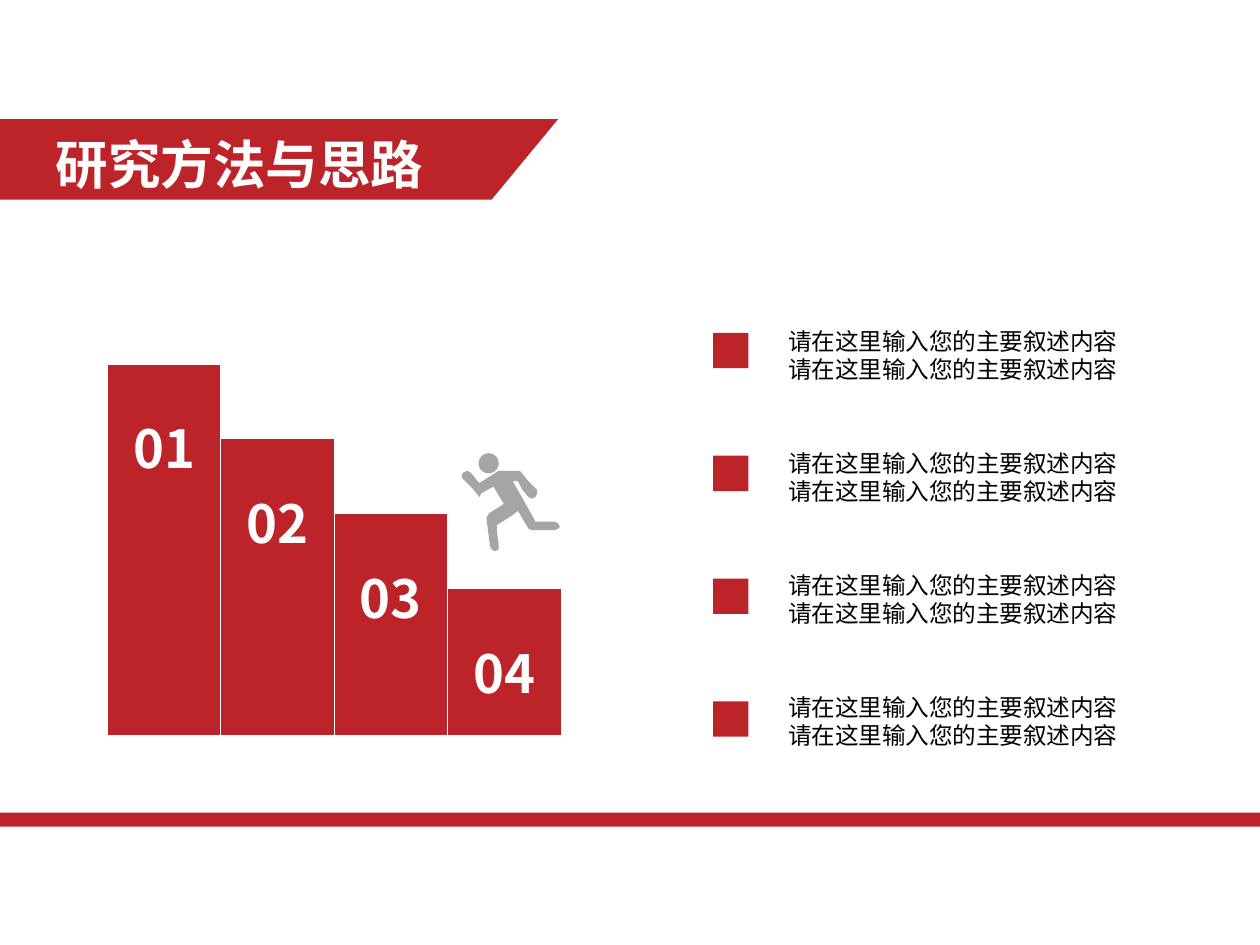
from pptx import Presentation
from pptx.dml.color import RGBColor
from pptx.enum.shapes import MSO_SHAPE as Kind
from pptx.enum.text import MSO_ANCHOR as Anchor, PP_ALIGN as Align
from pptx.util import Pt

RED, GREY, WHITE, BLACK = "BC242A", "A5A5A5", "FFFFFF", "000000"
SANS, HEAD = "Noto Sans CJK SC", "Noto Sans CJK JP"
LINE = "请在这里输入您的主要叙述内容"

# Runner outline in hundredths of the figure's width and height
BODY = [
    (5, 0), (2, 2), (0, 5), (0, 8), (2, 11), (10, 21), (17, 32), (20, 29),
    (32, 19), (43, 41), (28, 52), (26, 55), (25, 60), (27, 76), (29, 95),
    (31, 98), (34, 100), (37, 98), (38, 95), (38, 92), (36, 76), (35, 67),
    (49, 56), (57, 51), (68, 73), (71, 75), (94, 75), (98, 73), (100, 69),
    (98, 65), (94, 63), (75, 63), (65, 44), (51, 13), (57, 13), (61, 21),
    (68, 32), (71, 34), (75, 33), (77, 29), (76, 25), (68, 14), (61, 3),
    (59, 1), (37, 1), (18, 16), (16, 14), (9, 3),
]


def color(code):
    return RGBColor.from_string(code)


def paint(shape, fill, edge=None):
    shape.shadow.inherit = False
    shape.fill.solid()
    shape.fill.fore_color.rgb = color(fill)
    if edge:
        shape.line.color.rgb = color(edge)
        shape.line.width = Pt(0.75)
    else:
        shape.line.fill.background()
    return shape


def block(slide, kind, box, fill, edge=None):
    shape = slide.shapes.add_shape(kind, *map(Pt, box))
    return paint(shape, fill, edge)


def outline(slide, points, fill):
    pen = slide.shapes.build_freeform(*points[0], scale=Pt(1))
    pen.add_line_segments(points[1:])
    return paint(pen.convert_to_shape(), fill)


def write(frame, lines, size, font, fill, align, bold=False, pitch=None):
    """Fill a text frame; pitch is an exact line height in points."""
    for i, line in enumerate(lines):
        para = frame.paragraphs[0] if i == 0 else frame.add_paragraph()
        para.text = line
        para.alignment = align
        para.font.size = Pt(size)
        para.font.name = font
        para.font.bold = bold
        para.font.color.rgb = color(fill)
        if pitch:
            para.line_spacing = Pt(pitch)
        # East Asian glyphs take their own typeface entry
        for run in para.runs:
            props = run._r.get_or_add_rPr()
            face = props.makeelement(
                "{http://schemas.openxmlformats.org/drawingml/2006/main}ea",
                {"typeface": font})
            props.append(face)


def label(slide, box, inset, lines, *style, **more):
    frame = slide.shapes.add_textbox(*map(Pt, box)).text_frame
    frame.word_wrap = False
    frame.margin_top = Pt(inset)
    write(frame, lines, *style, **more)


def banner(slide, box):
    x, y, w, h = box
    outline(slide, [(x, y), (x + w, y), (x + w - 38, y + h), (x, y + h)], RED)
    label(slide, (x + 24.5, y + 1.5, 224.6, 43.2), 6.4, ["研究方法与思路"],
          30, HEAD, WHITE, Align.CENTER, bold=True, pitch=36)


def stairs(slide, box, count=4, drop=42.7):
    x, y, w, h = box
    step = w / count
    for i in range(count):
        fall = i * drop
        bar = block(slide, Kind.RECTANGLE,
                    (x + i * step, y + fall, step, h - fall), RED, WHITE)
        frame = bar.text_frame
        frame.vertical_anchor = Anchor.TOP
        frame.margin_top = Pt(30)
        frame.margin_left = frame.margin_right = 0
        write(frame, [f"{i + 1:02}"], 30, SANS, WHITE, Align.CENTER, bold=True)


def runner(slide, box):
    x, y, w, h = box
    top, tall = y + 0.18 * h, 0.82 * h
    outline(slide, [(x + w * a / 100, top + tall * b / 100) for a, b in BODY],
            GREY)
    block(slide, Kind.OVAL, (x + 9.5, y, 11.5, 11.5), GREY)


def points(slide, box, count=4):
    x, y, w, h = box
    for i in range(count):
        block(slide, Kind.RECTANGLE, (x, y + 8 + i * 70.2, 20.2, 20.2), RED)
        label(slide, (x + 36, y + i * (h - 56) / (count - 1), w - 36, 56), 5,
              [LINE, LINE], 13.5, SANS, BLACK, Align.LEFT, pitch=16)


def main():
    deck = Presentation()
    deck.slide_width, deck.slide_height = Pt(720), Pt(540)
    slide = deck.slides.add_slide(deck.slide_layouts[6])
    banner(slide, (0, 67.5, 319, 46.5))
    block(slide, Kind.RECTANGLE, (0, 464.4, 720, 8), RED)
    stairs(slide, (61.3, 208, 259.4, 212.3))
    runner(slide, (264, 259, 56.2, 55.7))
    points(slide, (407.5, 182.2, 239.8, 264.8))
    deck.save("out.pptx")


if __name__ == "__main__":
    main()
